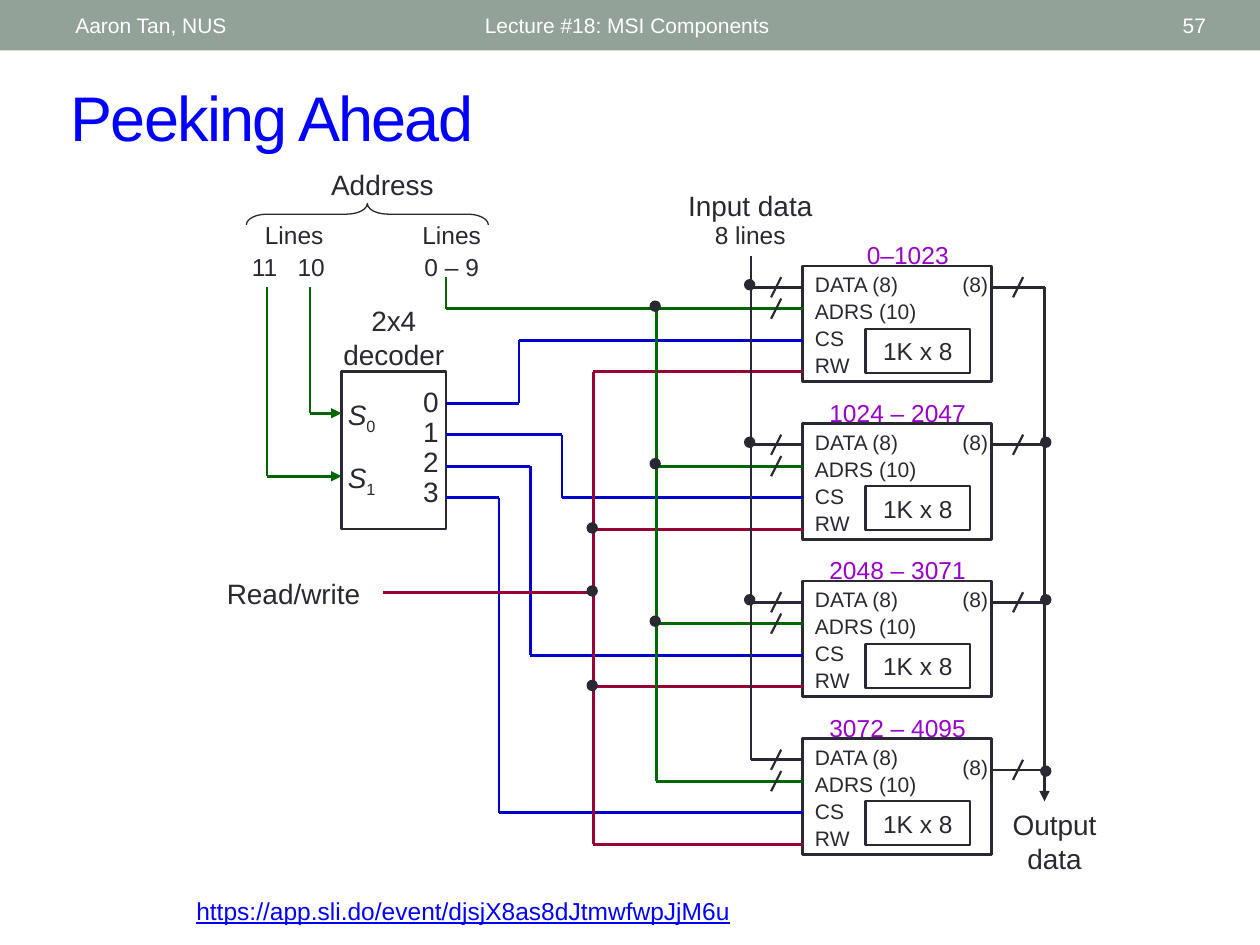
import dataclasses

import pptx
import pptx.dml.color
import pptx.enum.shapes
import pptx.enum.text
import pptx.oxml.ns
import pptx.util
from lxml import etree

Inches = pptx.util.Inches
Pt = pptx.util.Pt
Shape = pptx.enum.shapes.MSO_SHAPE
Align = pptx.enum.text.PP_ALIGN
Anchor = pptx.enum.text.MSO_ANCHOR
color = pptx.dml.color.RGBColor.from_string
qn = pptx.oxml.ns.qn


@dataclasses.dataclass(frozen=True)
class Theme:
    font: str = "Arial"
    ink: str = "292934"
    banner: str = "93A299"
    white: str = "FFFFFF"
    title: str = "0000FF"
    address: str = "006600"
    select: str = "0000CC"
    read_write: str = "990033"
    address_range: str = "9900CC"
    title_size: int = 36
    large: int = 16
    medium: int = 14
    small: int = 12
    wire: float = 1.5
    thin: float = 1.25
    hair: float = 0.75


theme = Theme()
presentation = pptx.Presentation()
presentation.slide_width = Inches(10)
presentation.slide_height = Inches(7.5)
slide = presentation.slides.add_slide(presentation.slide_layouts[5])
shapes = slide.shapes


def write(shape, lines, size, ink=theme.ink, align=Align.CENTER, anchor=Anchor.TOP, gap=0, spacing=1.0):
    frame = shape.text_frame
    frame.word_wrap = True
    frame.vertical_anchor = anchor
    frame.text = "\n".join(lines)
    for index, paragraph in enumerate(frame.paragraphs):
        paragraph.alignment = align
        paragraph.line_spacing = spacing
        paragraph.space_before = Pt(gap if index else 0)
        paragraph.font.name = theme.font
        paragraph.font.size = Pt(size)
        paragraph.font.color.rgb = color(ink)


def wire(x1, y1, x2, y2, ink=theme.ink, width=theme.wire, arrow=False):
    line = shapes.add_connector(
        pptx.enum.shapes.MSO_CONNECTOR.STRAIGHT, Inches(x1), Inches(y1), Inches(x2), Inches(y2))
    line.line.color.rgb = color(ink)
    line.line.width = Pt(width)
    if arrow:
        etree.SubElement(line.line._get_or_add_ln(), qn("a:tailEnd"), type="triangle")
    etree.SubElement(line._element.spPr, qn("a:effectLst"))


banner = shapes.add_shape(Shape.RECTANGLE, 0, 0, Inches(10), Inches(0.4))
banner.shadow.inherit = False
banner.fill.solid()
banner.fill.fore_color.rgb = color(theme.banner)
banner.line.fill.background()
for text, left, width, align in [
    ("Lecture #18: MSI Components", 3.75, 4.5, Align.LEFT),
    ("57", 8.72, 0.95, Align.RIGHT),
    ("Aaron Tan, NUS", 0.5, 3.17, Align.LEFT),
]:
    heading = shapes.add_textbox(Inches(left), Inches(0.02), Inches(width), Inches(0.36))
    write(heading, [text], theme.small, theme.white, align, Anchor.MIDDLE)

title = shapes.title
title.left, title.top, title.width, title.height = Inches(0.46), Inches(0.57), Inches(9.21), Inches(0.7)
write(title, ["Peeking Ahead"], theme.title_size, theme.title, Align.LEFT, Anchor.MIDDLE)
title.text_frame.auto_size = pptx.enum.text.MSO_AUTO_SIZE.NONE
title.text_frame.paragraphs[0].runs[0].font._element.set("spc", "-100")

event_address = shapes.add_textbox(Inches(1.46), Inches(7.06), Inches(8.04), Inches(0.34))
write(event_address, ["https://app.sli.do/event/djsjX8as8dJtmwfwpJjM6u"], theme.medium, theme.title, Align.LEFT)
event_address.text_frame.paragraphs[0].font.underline = True

for text, left, top, width, height, size in [
    ("Address", 2.37, 1.28, 1.33, 0.37, theme.large),
    ("Lines", 1.96, 1.7, 0.75, 0.33, theme.medium),
    ("Lines", 3.21, 1.7, 0.75, 0.33, theme.medium),
    ("11", 1.85, 1.95, 0.5, 0.33, theme.medium),
    ("10", 2.22, 1.95, 0.5, 0.33, theme.medium),
    ("0 – 9", 3.21, 1.95, 0.75, 0.33, theme.medium),
    ("2x4 decoder", 2.54, 2.36, 1.17, 0.64, theme.large),
    ("Read/write", 1.62, 4.53, 1.42, 0.37, theme.large),
    ("Input data", 5.29, 1.45, 1.33, 0.37, theme.large),
    ("8 lines", 5.54, 1.7, 0.83, 0.33, theme.medium),
    ("Output data", 7.87, 6.36, 1, 0.64, theme.large),
]:
    label = shapes.add_textbox(Inches(left), Inches(top), Inches(width), Inches(height))
    write(label, [text], size)

brace = shapes.add_shape(Shape.LEFT_BRACE, Inches(2.83), Inches(0.74), Inches(0.17), Inches(1.92))
brace.rotation = 90
brace.adjustments[0] = 0.96
brace.adjustments[1] = 0.5
decoder = shapes.add_shape(Shape.RECTANGLE, Inches(2.71), Inches(2.95), Inches(0.83), Inches(1.25))
outlined = [(brace, theme.hair), (decoder, theme.wire)]

decoder_outputs = shapes.add_textbox(Inches(3.21), Inches(3.03), Inches(0.42), Inches(1.07))
write(decoder_outputs, ["0", "1", "2", "3"], theme.large, spacing=0.9)
decoder_inputs = shapes.add_textbox(Inches(2.62), Inches(3.11), Inches(0.5), Inches(0.82))
write(decoder_inputs, ["S", "S"], theme.large, gap=16.5, spacing=0.9)
for digit, paragraph in enumerate(decoder_inputs.text_frame.paragraphs):
    paragraph.runs[0].font.italic = True
    subscript = paragraph.add_run()
    subscript.text = str(digit)
    subscript.font._element.set("baseline", "-25000")

for x, y in [(2.46, 3.28), (2.12, 3.78)]:
    wire(x, 2.28, x, y, theme.address)
    wire(x, y, 2.71, y, theme.address, arrow=True)

row_pitch = 1.25
chip_left, chip_right = 6.37, 7.87
data_bus, address_bus, read_write_bus, output_bus = 5.96, 5.21, 4.71, 8.29
ranges = ["0–1023", "1024 – 2047", "2048 – 3071", "3072 – 4095"]
select_bends = [4.12, 4.46, 4.21, 3.96]
output_rows = [2.28, 3.53, 4.78, 6.11]

for row, (address_range, bend, output_y) in enumerate(zip(ranges, select_bends, output_rows)):
    offset = row * row_pitch
    top = 2.11 + offset
    data_y, address_y, select_y, read_write_y = [y + offset for y in (2.28, 2.45, 2.7, 2.95)]
    decoder_y = 3.2 + row * 0.25

    chip = shapes.add_shape(Shape.RECTANGLE, Inches(chip_left), Inches(top), Inches(1.5), Inches(0.92))
    capacity = shapes.add_shape(Shape.RECTANGLE, Inches(6.87), Inches(top + 0.5), Inches(0.83), Inches(0.35))
    write(capacity, ["1K x 8"], theme.medium, anchor=Anchor.MIDDLE)
    outlined += [(chip, theme.wire), (capacity, theme.thin)]
    pins = shapes.add_textbox(Inches(chip_left), Inches(top), Inches(1.33), Inches(0.93))
    write(pins, ["DATA (8)", "ADRS (10)", "CS", "RW"], theme.small, align=Align.LEFT, gap=1)
    output_width = shapes.add_textbox(Inches(7.54), Inches(output_y - 0.17), Inches(0.42), Inches(0.3))
    write(output_width, ["(8)"], theme.small, align=Align.LEFT)
    range_label = shapes.add_textbox(
        Inches(6.46 if row else 6.54), Inches(top - 0.25), Inches(1.33), Inches(0.33))
    write(range_label, [address_range], theme.medium, theme.address_range)

    wire(data_bus, data_y, chip_left, data_y)
    wire(address_bus if row else 3.54, address_y, chip_left, address_y, theme.address)
    wire(3.54, decoder_y, bend, decoder_y, theme.select)
    wire(bend, decoder_y, bend, select_y, theme.select)
    wire(bend, select_y, chip_left, select_y, theme.select)
    wire(read_write_bus, read_write_y, chip_left, read_write_y, theme.read_write)
    wire(chip_right, output_y, output_bus, output_y)
    for x, y in [(6.16, data_y), (6.16, address_y), (8.08, output_y)]:
        wire(x + 0.04, y - 0.08, x - 0.04, y + 0.08, width=theme.thin)

wire(3.54, 2.2, 3.54, 2.45, theme.address)
wire(data_bus, 2.03, data_bus, 6.03)
wire(address_bus, 2.45, address_bus, 6.2, theme.address)
wire(3.04, 4.7, read_write_bus, 4.7, theme.read_write)
wire(read_write_bus, 2.95, read_write_bus, 6.7, theme.read_write)
wire(output_bus, 2.28, output_bus, 6.36, arrow=True)

for x, rows in [
    (5.91, [2.22, 3.47, 4.72]),
    (5.16, [2.39, 3.64, 4.89]),
    (4.66, [4.15, 4.65, 5.4]),
    (8.26, [3.47, 4.72, 6.08]),
]:
    for y in rows:
        junction = shapes.add_shape(Shape.OVAL, Inches(x), Inches(y), Inches(0.08), Inches(0.08))
        junction.shadow.inherit = False
        junction.fill.solid()
        junction.fill.fore_color.rgb = color(theme.ink)
        junction.line.color.rgb = color(theme.ink)
        junction.line.width = Pt(theme.hair)

for outline, width in outlined:
    outline.shadow.inherit = False
    outline.fill.background()
    outline.line.color.rgb = color(theme.ink)
    outline.line.width = Pt(width)

presentation.save("out.pptx")
